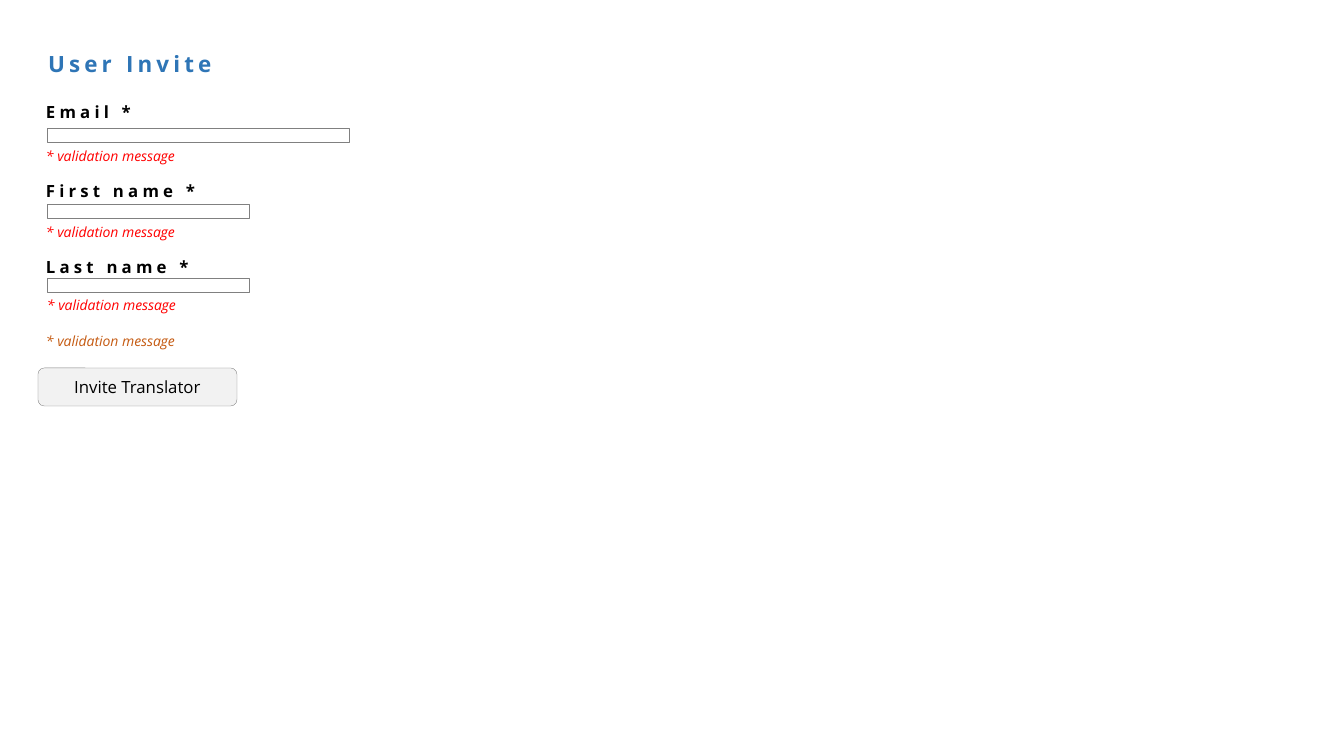
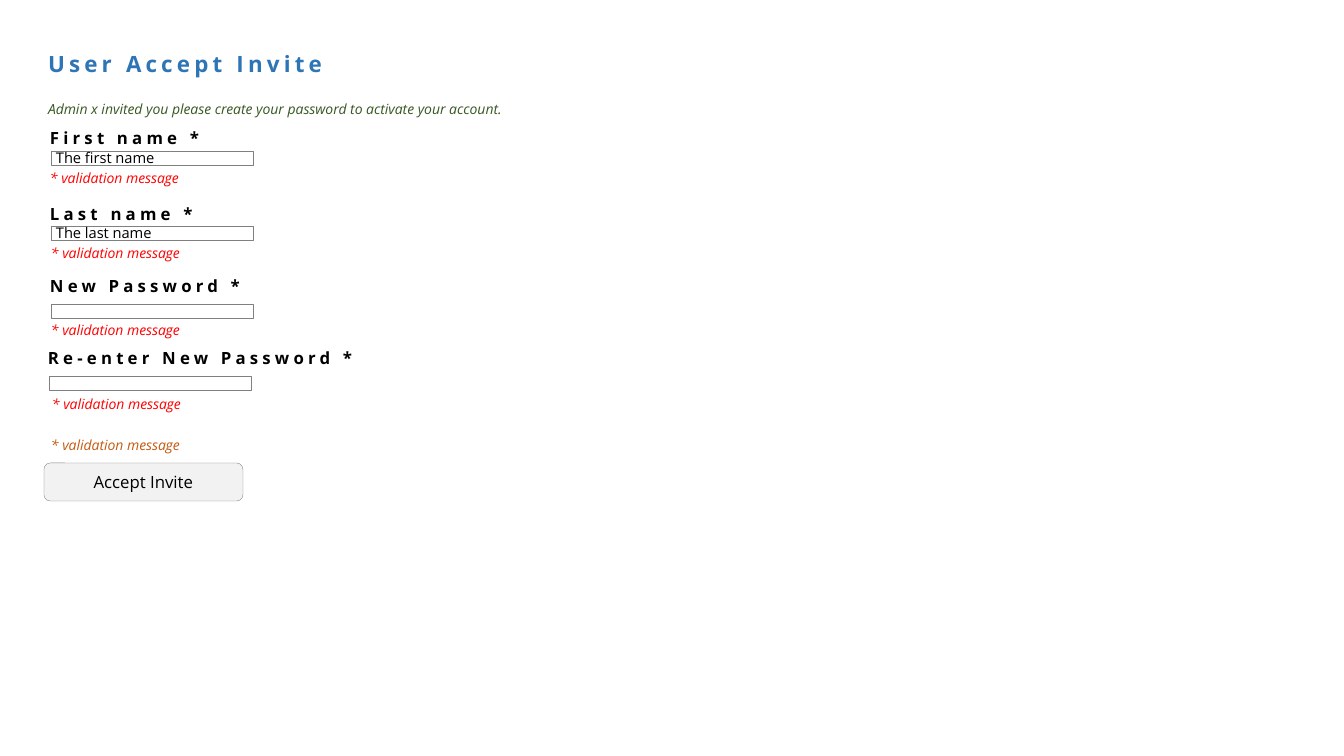
import pptx
import pptx.dml.color
import pptx.enum.shapes
import pptx.enum.text
import pptx.util
from dataclasses import dataclass
from typing import Any

EMU_PER_PIXEL = 914400 / 100.8
FONT = "Open Sans"
BLACK, WHITE, GRAY, LIGHT_GRAY = "000000", "FFFFFF", "808080", "F2F2F2"
BLUE, RED, ORANGE, GREEN = "2E75B6", "FF0000", "C55A11", "385723"
VALIDATION = "* validation message"
LEFT = pptx.enum.text.PP_ALIGN.LEFT
CENTER = pptx.enum.text.PP_ALIGN.CENTER
NO_FIT = pptx.enum.text.MSO_AUTO_SIZE.NONE
GROW = pptx.enum.text.MSO_AUTO_SIZE.SHAPE_TO_FIT_TEXT
RECTANGLE = pptx.enum.shapes.MSO_SHAPE.RECTANGLE
ROUNDED = pptx.enum.shapes.MSO_SHAPE.ROUNDED_RECTANGLE


@dataclass(frozen=True)
class Box:
    left: int
    top: int
    width: int
    height: int


@dataclass(frozen=True)
class Style:
    size: float
    color: str
    bold: bool = False
    italic: bool = False
    spacing: int = 0
    align: Any = LEFT
    insets: tuple[int, int, int, int] = (10, 2, 10, 3)
    wrap: bool = True
    fit: Any = GROW


TITLE = Style(16, BLUE, bold=True, spacing=3)
LABEL = Style(12, BLACK, bold=True, spacing=3)
ERROR = Style(10, RED, italic=True)
SUMMARY = Style(10, ORANGE, italic=True)
NOTICE = Style(10, GREEN, italic=True)
VALUE = Style(10.5, BLACK, insets=(5, 2, 5, 2), wrap=False, fit=NO_FIT)
BUTTON = Style(12, BLACK, align=CENTER, insets=(10, 0, 10, 1), fit=NO_FIT)


@dataclass(frozen=True)
class Field:
    label: str
    left: int
    label_top: int
    input_top: int
    message_left: int
    message_top: int
    label_width: int = 302
    input_width: int = 202
    value: str = ""


@dataclass(frozen=True)
class Form:
    title: str
    title_width: int
    fields: tuple[Field, ...]
    summary: tuple[int, int]
    button: str
    button_corner: tuple[int, int]
    notice: str = ""


FORMS = (
    Form("User Invite", 302, (
        Field("Email *", 36, 100, 128, 36, 145, input_width=302),
        Field("First name *", 36, 179, 204, 36, 221),
        Field("Last name *", 36, 255, 278, 37, 294),
    ), (36, 330), "Invite Translator", (38, 368)),
    Form("User Accept Invite", 439, (
        Field("First name *", 40, 126, 151, 40, 167, value="The first name"),
        Field("Last name *", 40, 202, 226, 41, 242, value="The last name"),
        Field("New Password *", 40, 274, 304, 41, 319),
        Field("Re-enter New Password *", 38, 346, 376, 42, 393, label_width=374),
    ), (41, 434), "Accept Invite", (44, 463),
        "Admin x invited you please create your password to activate your account."),
)


def px(value: float) -> int:
    return round(value * EMU_PER_PIXEL)


def rgb(color: str) -> Any:
    return pptx.dml.color.RGBColor.from_string(color)


def place(shape: Any, box: Box) -> None:
    shape.left, shape.top = px(box.left), px(box.top)
    shape.width, shape.height = px(box.width), px(box.height)


def write(shape: Any, text: str, style: Style) -> None:
    frame = shape.text_frame
    frame.text = text
    frame.word_wrap = style.wrap
    frame.auto_size = style.fit
    frame.vertical_anchor = pptx.enum.text.MSO_ANCHOR.MIDDLE
    (frame.margin_left, frame.margin_top,
     frame.margin_right, frame.margin_bottom) = map(px, style.insets)
    para = frame.paragraphs[0]
    para.alignment = style.align
    for span in para.runs:
        span.font.name = FONT
        span.font.size = pptx.util.Pt(style.size)
        span.font.bold = style.bold
        span.font.italic = style.italic
        span.font.color.rgb = rgb(style.color)
        if style.spacing:
            span._r.get_or_add_rPr().set("spc", str(style.spacing * 100))


def add_text(page: Any, box: Box, text: str, style: Style) -> None:
    shape = page.shapes.add_textbox(0, 0, 0, 0)
    place(shape, box)
    write(shape, text, style)


def add_panel(page: Any, kind: Any, box: Box, fill: str, text: str, style: Style) -> None:
    shape = page.shapes.add_shape(kind, 0, 0, 0, 0)
    place(shape, box)
    shape.shadow.inherit = False
    shape.fill.solid()
    shape.fill.fore_color.rgb = rgb(fill)
    shape.line.color.rgb = rgb(GRAY)
    shape.line.width = pptx.util.Pt(0.25)
    if text:
        write(shape, text, style)


def add_field(page: Any, field: Field) -> None:
    add_text(page, Box(field.left, field.label_top, field.label_width, 25), field.label, LABEL)
    input_box = Box(field.left + 11, field.input_top, field.input_width, 14)
    add_panel(page, RECTANGLE, input_box, WHITE, field.value, VALUE)
    add_text(page, Box(field.message_left, field.message_top, 302, 22), VALIDATION, ERROR)


def add_form(deck: Any, form: Form) -> None:
    page = deck.slides.add_slide(deck.slide_layouts.get_by_name("Title Only"))
    place(page.shapes.title, Box(38, 48, form.title_width, 32))
    write(page.shapes.title, form.title, TITLE)
    if form.notice:
        add_text(page, Box(38, 98, 673, 22), form.notice, NOTICE)
    for field in form.fields:
        add_field(page, field)
    add_text(page, Box(*form.summary, 302, 22), VALIDATION, SUMMARY)
    add_panel(page, ROUNDED, Box(*form.button_corner, 199, 38), LIGHT_GRAY, form.button, BUTTON)


deck = pptx.Presentation()
deck.slide_width, deck.slide_height = px(1344), px(756)
for form in FORMS:
    add_form(deck, form)
deck.save("out.pptx")
